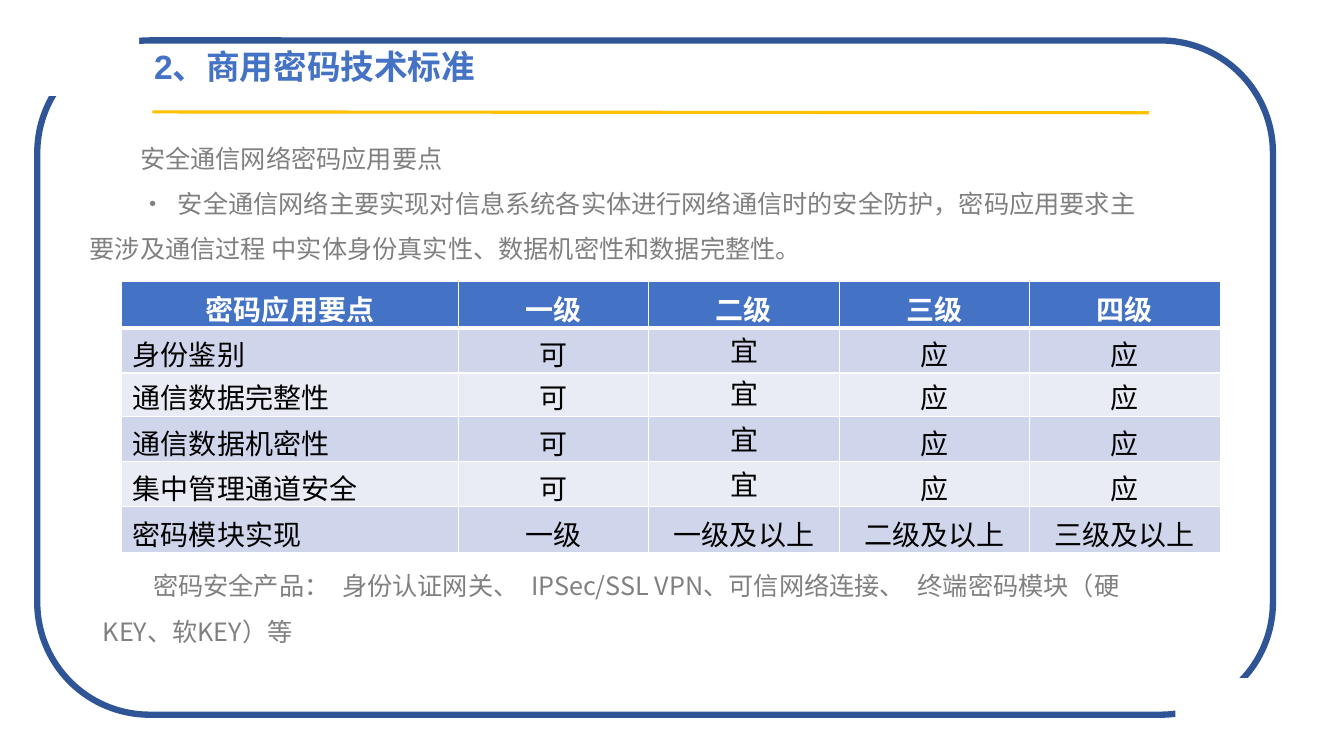
from lxml.etree import SubElement
from pptx import Presentation
from pptx.dml.color import RGBColor
from pptx.enum.shapes import MSO_CONNECTOR, MSO_SHAPE
from pptx.enum.text import MSO_ANCHOR, PP_ALIGN
from pptx.oxml.ns import qn
from pptx.util import Cm, Pt

COLORS = {"frame": "2F5597", "title": "4472C4", "rule": "FFC000", "body": "808080",
          "band_dark": "CFD5EA", "band_light": "E9EBF5", "white": "FFFFFF", "black": "000000"}
CJK = "Noto Sans CJK SC"
GAP = "|"
TITLE = "2、商用密码技术标准"
INTRO = ["安全通信网络密码应用要点",
         "•|安全通信网络主要实现对信息系统各实体进行网络通信时的安全防护，"
         "密码应用要求主要涉及通信过程 中实体身份真实性、数据机密性和数据完整性。"]
PRODUCTS = ["密码安全产品：|身份认证网关、|IPSec/SSL VPN、可信网络连接、|终端密码模块（硬KEY、软KEY）等"]
ROWS = [["密码应用要点", "一级", "二级", "三级", "四级"],
        *[[name, "可", "宜", "应", "应"]
          for name in ("身份鉴别", "通信数据完整性", "通信数据机密性", "集中管理通道安全")],
        ["密码模块实现", "一级", "一级及以上", "二级及以上", "三级及以上"]]
COL_WIDTHS = [8.48] + [4.8] * 4
ROW_HEIGHTS = [1.17, 1.14, 1.09, 1.14, 1.14, 1.17]


def rgb(key):
    return RGBColor.from_string(COLORS[key])


def apply(target, **values):
    for name, value in values.items():
        setattr(target, name, value)


def add_run(p, text, size, color, bold=False, latin=CJK):
    r = p.add_run()
    r.text = text
    apply(r.font, size=Pt(size), bold=bold, name=latin)
    r.font.color.rgb = rgb(color)
    SubElement(r.font._element, qn("a:ea")).set("typeface", CJK)
    return r


def add_frame(s, left, top, width, height):
    """Rounded outline, opened at two opposite corners by white blocks."""
    mask_w, mask_h = 2.57, 1.96
    outline = s.shapes.add_shape(MSO_SHAPE.ROUNDED_RECTANGLE,
                                 Cm(left), Cm(top), Cm(width), Cm(height))
    outline.shadow.inherit = False
    outline.fill.background()
    outline.line.color.rgb = rgb("frame")
    outline.line.width = Pt(4.5)
    for x, y in ((left, top - 0.56), (left + width - 2.46, top + height - 0.92)):
        mask = s.shapes.add_shape(MSO_SHAPE.RECTANGLE, Cm(x), Cm(y), Cm(mask_w), Cm(mask_h))
        mask.shadow.inherit = False
        mask.fill.solid()
        mask.fill.fore_color.rgb = rgb("white")
        mask.line.fill.background()


def add_heading(s, left, top, width, height):
    title = s.shapes.title
    apply(title, left=Cm(left), top=Cm(top), width=Cm(width), height=Cm(height))
    apply(title.text_frame, word_wrap=True, vertical_anchor=MSO_ANCHOR.MIDDLE)
    p = title.text_frame.paragraphs[0]
    p.alignment = PP_ALIGN.LEFT
    add_run(p, TITLE, 24, "title", bold=True, latin="Arial")
    rule = s.shapes.add_connector(MSO_CONNECTOR.STRAIGHT, Cm(left + 0.21), Cm(top + 1.78),
                                  Cm(left + 25.33), Cm(top + 1.8))
    rule.line.color.rgb = rgb("rule")
    rule.line.width = Pt(2.25)
    SubElement(rule._element.spPr, qn("a:effectLst"))


def add_body(s, lines, left, top, width, height):
    """Indented grey paragraphs; each GAP mark becomes one widened space."""
    tf = s.shapes.add_textbox(Cm(left), Cm(top), Cm(width), Cm(height)).text_frame
    tf.word_wrap = True
    for i, line in enumerate(lines):
        p = tf.add_paragraph() if i else tf.paragraphs[0]
        p.line_spacing = 1.5
        p._p.get_or_add_pPr().set("indent", str(Cm(1.27)))
        for j, part in enumerate(line.split(GAP)):
            if j:
                add_run(p, " ", 18, "body").font._element.set("spc", "500")
            add_run(p, part, 18, "body")


def add_borders(cell, **widths):
    for side, width in widths.items():
        ln = SubElement(cell._tc.get_or_add_tcPr(), qn(f"a:ln{side}"), w=str(Pt(width)))
        fill = SubElement(ln, qn("a:solidFill"))
        SubElement(fill, qn("a:srgbClr"), val=COLORS["white"])


def add_levels_table(s, left, top):
    table = s.shapes.add_table(len(ROWS), len(COL_WIDTHS), Cm(left), Cm(top),
                               Cm(sum(COL_WIDTHS)), Cm(sum(ROW_HEIGHTS))).table
    for column, width in zip(table.columns, COL_WIDTHS):
        column.width = Cm(width)
    for row, height in zip(table.rows, ROW_HEIGHTS):
        row.height = Cm(height)
    for i, texts in enumerate(ROWS):
        header = i == 0
        band = "title" if header else "band_dark" if i % 2 else "band_light"
        for j, text in enumerate(texts):
            cell = table.cell(i, j)
            label = j == 0 and not header
            add_borders(cell, L=1, R=1, T=3 if i == 1 else 1, B=3 if header else 1)
            cell.fill.solid()
            cell.fill.fore_color.rgb = rgb(band)
            apply(cell, vertical_anchor=MSO_ANCHOR.BOTTOM, margin_top=0, margin_right=0,
                  margin_left=Cm(0.28 if label else 0),
                  margin_bottom=Cm(0.1 if text == "宜" else 0))
            p = cell.text_frame.paragraphs[0]
            apply(p, line_spacing=0.9, alignment=PP_ALIGN.LEFT if label else PP_ALIGN.CENTER)
            add_run(p, text, 20, "white" if header else "black", bold=header)


def main():
    prs = Presentation()
    apply(prs, slide_width=Cm(33.87), slide_height=Cm(19.05))
    s = prs.slides.add_slide(prs.slide_layouts[5])
    add_frame(s, 0.94, 1.02, 31.14, 16.99)
    add_heading(s, 3.63, 1.04, 25.55, 1.27)
    add_body(s, INTRO, 2.01, 3.1, 26.97, 3.71)
    add_body(s, PRODUCTS, 2.34, 13.87, 26.97, 2.57)
    add_levels_table(s, 3.07, 7.09)
    prs.save("out.pptx")


if __name__ == "__main__":
    main()
